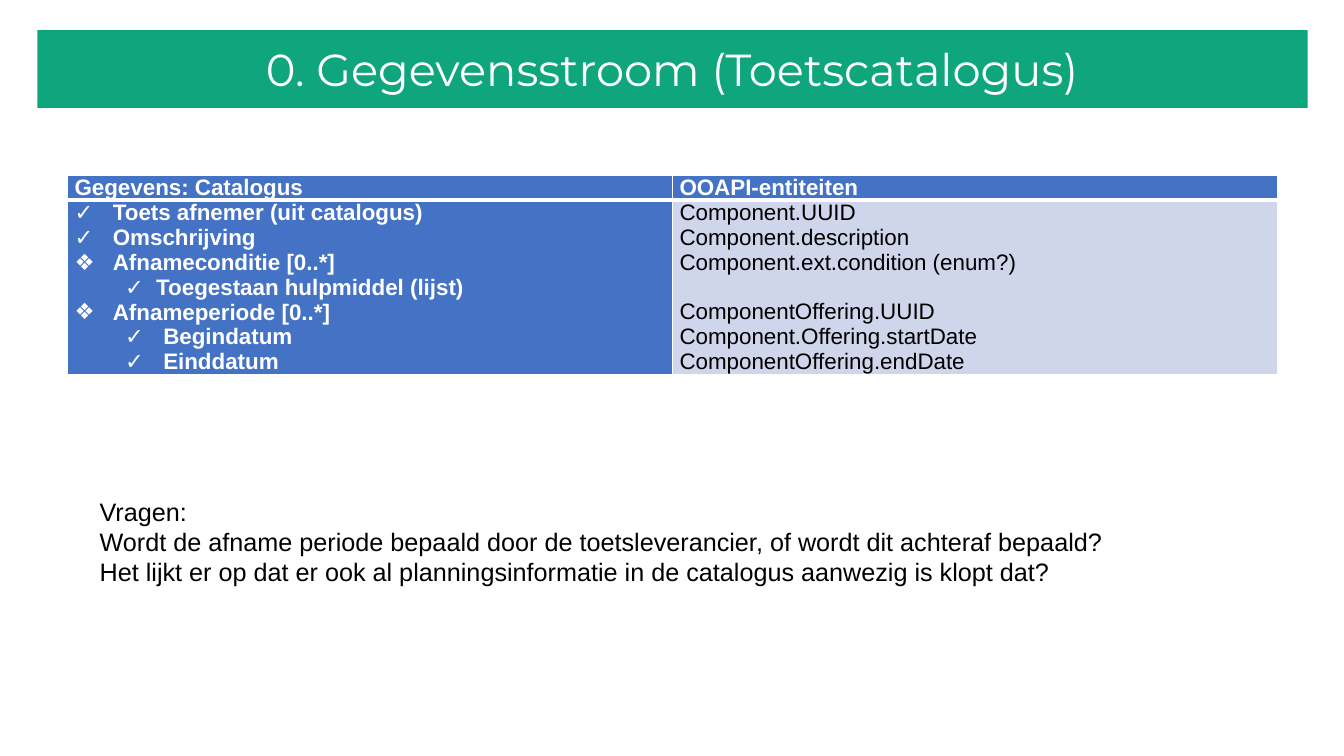
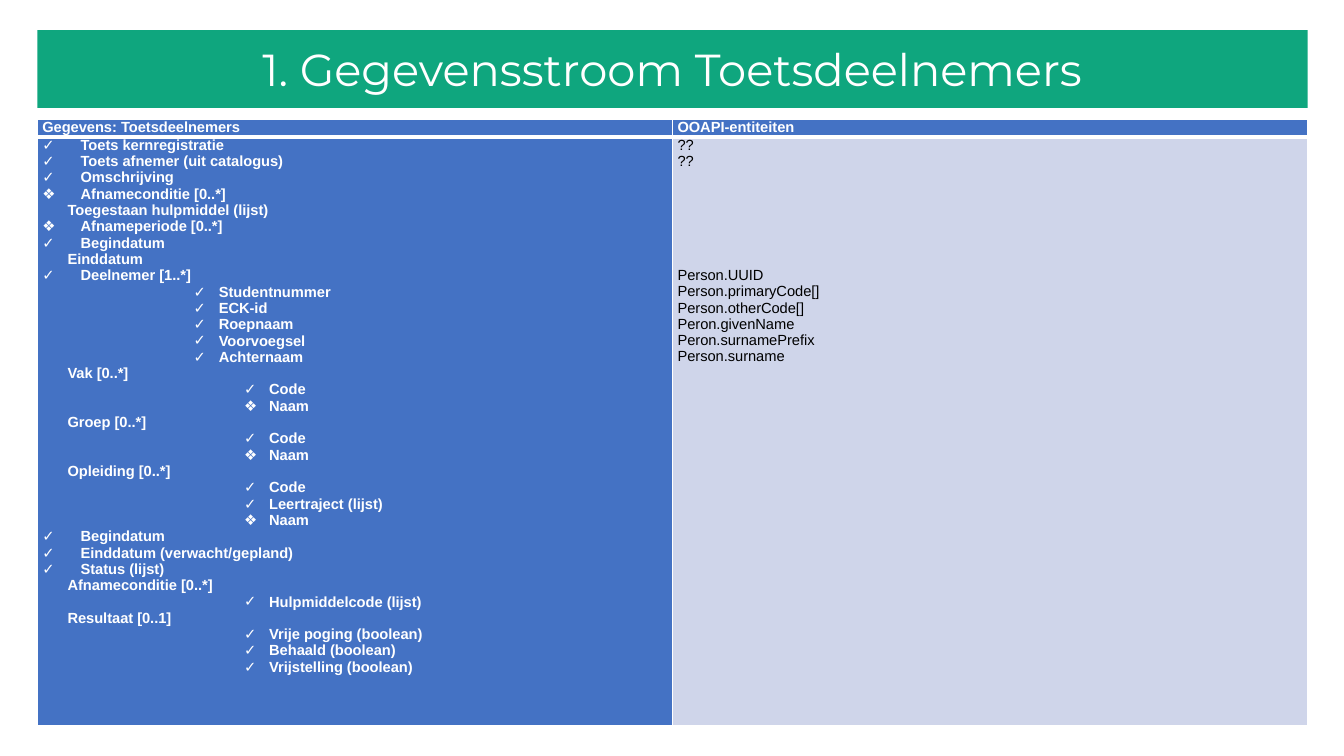
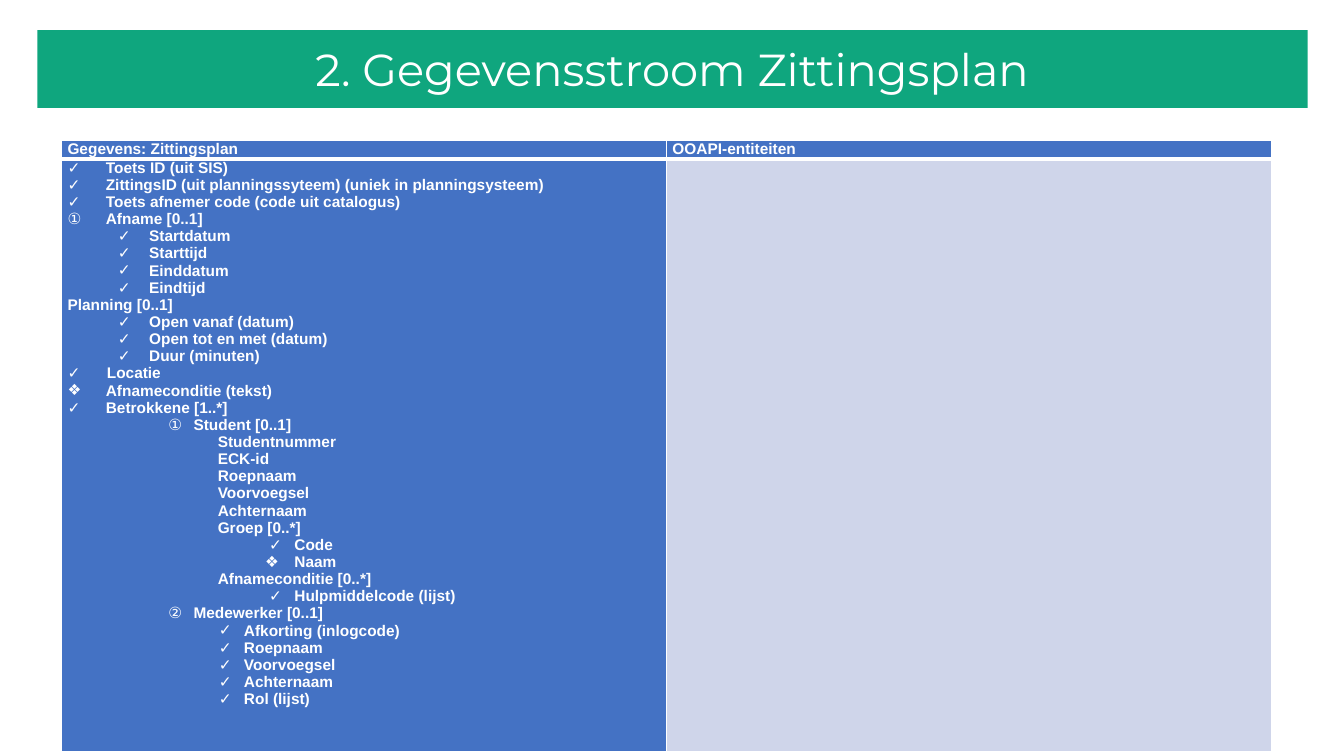
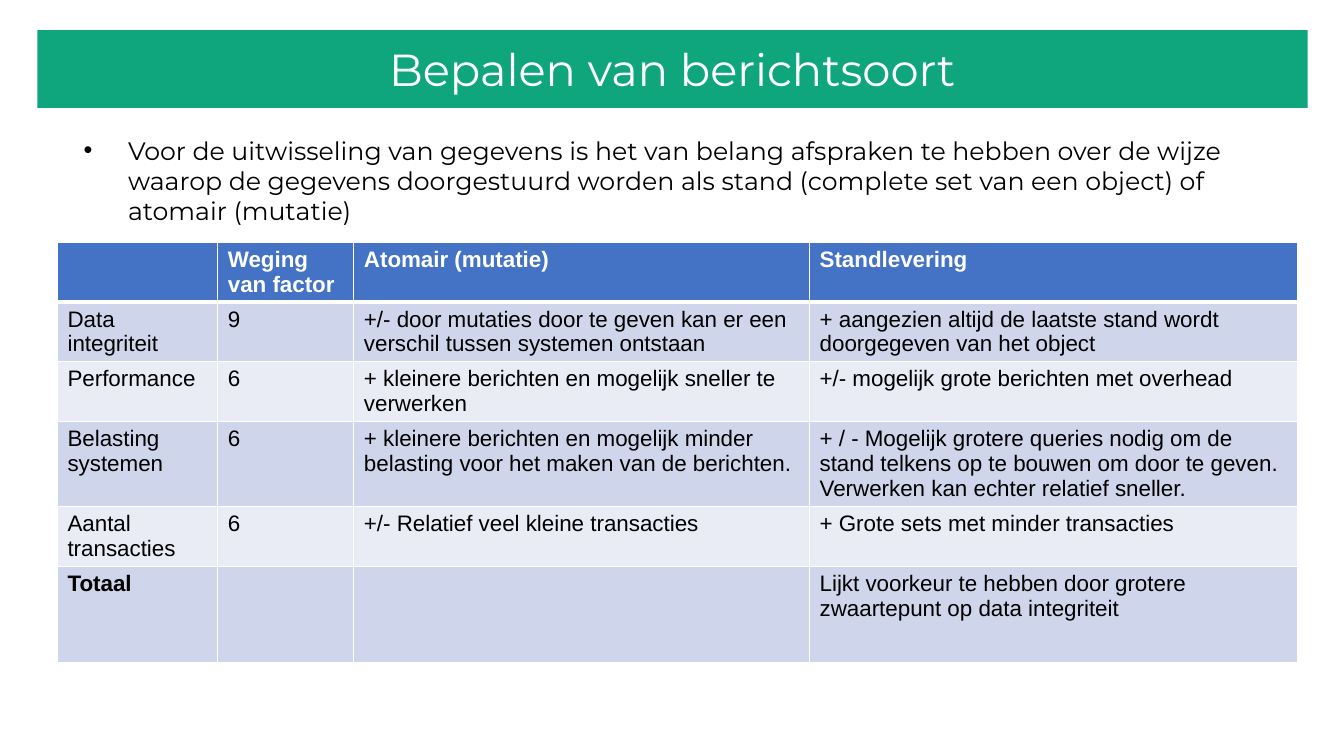
from dataclasses import dataclass

from lxml import etree
from pptx import Presentation
from pptx.dml.color import RGBColor
from pptx.enum.text import MSO_ANCHOR as ANCHOR, MSO_AUTO_SIZE as AUTO, PP_ALIGN as ALIGN
from pptx.oxml.ns import qn
from pptx.util import Inches, Pt


@dataclass(frozen=True)
class Theme:
    green: str = "0FA67E"
    blue: str = "4472C4"
    band: str = "CFD5EA"
    light: str = "E9EBF5"
    white: str = "FFFFFF"
    black: str = "000000"
    title_font: str = "Montserrat"
    font: str = "Arial"
    title_size: float = 32
    text_size: float = 18
    table_size: float = 16
    line_height: float = 1.105


T = Theme()


def add_text(tf, text, size=T.table_size, font=T.font, color=T.black, bold=False,
             align=None, before=0, style=None):
    """Fill the empty first paragraph or add one; style is (level, margin, hang, bullet)."""
    p = tf.paragraphs[0] if not tf.text else tf.add_paragraph()
    p.alignment = align
    p.space_before = Pt(before)
    r = p.add_run()
    r.text = text
    r.font.size, r.font.name, r.font.bold = Pt(size), font, bold
    r.font.color.rgb = RGBColor.from_string(color)
    if style:
        level, margin, hang, bullet = style
        p.level = level
        pPr = p._p.get_or_add_pPr()
        pPr.set("marL", str(Inches(margin)))
        pPr.set("indent", str(-Inches(hang)))
        if bullet:
            etree.SubElement(pPr, qn("a:buFont"), typeface=T.font)
            etree.SubElement(pPr, qn("a:buChar"), char=bullet)


def format_cell(cell, fill, inset, bottom=1):
    cell.fill.solid()
    cell.fill.fore_color.rgb = RGBColor.from_string(fill)
    cell.margin_left = cell.margin_right = Inches(inset[0])
    cell.margin_top = cell.margin_bottom = Inches(inset[1])
    tcPr = cell._tc.get_or_add_tcPr()
    for i, side in enumerate("LRTB"):
        ln = etree.Element(qn(f"a:ln{side}"), w=str(Pt(bottom if side == "B" else 1)))
        solid = etree.SubElement(ln, qn("a:solidFill"))
        etree.SubElement(solid, qn("a:srgbClr"), val=T.white)
        tcPr.insert(i, ln)


# Outline styles: level, margin, hang, bullet
CHECK = (0, 0.38, 0.38, "✓")
DIAMOND = (0, 0.38, 0.38, "❖")
CHOICE = (0, 0.38, 0.38, "①")
PLAIN = (0, 0.5, 0.25, None)
FLUSH = (0, 0.25, 0.25, None)
PLACE = (0, 0.39, 0.39, "✓")
SUB_CHECK = (1, 0.81, 0.31, "✓")
DATE_CHECK = (1, 0.88, 0.38, "✓")
ROLE_1 = (2, 1.25, 0.25, "①")
ROLE_2 = (2, 1.25, 0.25, "②")
ROLE_PLAIN = (2, 1.74, 0.25, None)
ROLE_DIAMOND = (2, 2.25, 0.29, "❖")
CHECK_3 = (3, 1.75, 0.25, "✓")
CHECK_4 = (4, 2.25, 0.25, "✓")
DIAMOND_4 = (4, 2.25, 0.25, "❖")

# Each outline entry is a style and its lines; each entity is a text and the empty lines above it
flows = [
    dict(
        title="0. Gegevensstroom (Toetscatalogus)", header="Gegevens: Catalogus",
        at=(0.67, 1.74), width=12, rows=(0.24, 1.72), size=T.table_size, inset=0.07,
        outline=[
            (CHECK, "Toets afnemer (uit catalogus)", "Omschrijving"),
            (DIAMOND, "Afnameconditie [0..*]"),
            (SUB_CHECK, "Toegestaan hulpmiddel (lijst)"),
            (DIAMOND, "Afnameperiode [0..*]"),
            (DATE_CHECK, "Begindatum", "Einddatum"),
        ],
        entities=[
            ("Component.UUID", 0), ("Component.description", 0),
            ("Component.ext.condition (enum?)", 0), ("ComponentOffering.UUID", 1),
            ("Component.Offering.startDate", 0), ("ComponentOffering.endDate", 0),
        ],
    ),
    dict(
        title="1. Gegevensstroom Toetsdeelnemers", header="Gegevens: Toetsdeelnemers",
        at=(0.37, 1.18), width=12.6, rows=(0.18, 5.84), size=10.5, inset=0.05,
        outline=[
            (CHECK, "Toets kernregistratie", "Toets afnemer (uit catalogus)", "Omschrijving"),
            (DIAMOND, "Afnameconditie [0..*]"),
            (PLAIN, "Toegestaan hulpmiddel (lijst)"),
            (DIAMOND, "Afnameperiode [0..*]"),
            (CHECK, "Begindatum"),
            (PLAIN, "Einddatum"),
            (CHECK, "Deelnemer [1..*]"),
            (CHECK_3, "Studentnummer", "ECK-id", "Roepnaam", "Voorvoegsel", "Achternaam"),
            (PLAIN, "Vak [0..*]"),
            (CHECK_4, "Code"),
            (DIAMOND_4, "Naam"),
            (PLAIN, "Groep [0..*]"),
            (CHECK_4, "Code"),
            (DIAMOND_4, "Naam"),
            (PLAIN, "Opleiding [0..*]"),
            (CHECK_4, "Code", "Leertraject (lijst)"),
            (DIAMOND_4, "Naam"),
            (CHECK, "Begindatum", "Einddatum (verwacht/gepland)", "Status (lijst)"),
            (PLAIN, "Afnameconditie [0..*]"),
            (CHECK_4, "Hulpmiddelcode (lijst)"),
            (PLAIN, "Resultaat [0..1]"),
            (CHECK_4, "Vrije poging (boolean)", "Behaald (boolean)", "Vrijstelling (boolean)"),
        ],
        entities=[
            ("??", 0), ("??", 0), ("Person.UUID", 6), ("Person.primaryCode[]", 0),
            ("Person.otherCode[]", 0), ("Peron.givenName", 0),
            ("Peron.surnamePrefix", 0), ("Person.surname", 0),
        ],
    ),
    dict(
        title="2. Gegevensstroom Zittingsplan", header="Gegevens: Zittingsplan",
        at=(0.61, 1.39), width=12, rows=(0.19, 5.88), size=11, inset=0.06,
        outline=[
            (CHECK, "Toets ID (uit SIS)",
             "ZittingsID (uit planningssyteem) (uniek in planningsysteem)",
             "Toets afnemer code (code uit catalogus)"),
            (CHOICE, "Afname [0..1]"),
            (SUB_CHECK, "Startdatum", "Starttijd", "Einddatum", "Eindtijd"),
            (FLUSH, "Planning [0..1]"),
            (SUB_CHECK, "Open vanaf (datum)", "Open tot en met (datum)", "Duur (minuten)"),
            (PLACE, "Locatie"),
            (DIAMOND, "Afnameconditie (tekst)"),
            (CHECK, "Betrokkene [1..*]"),
            (ROLE_1, "Student [0..1]"),
            (ROLE_PLAIN, "Studentnummer", "ECK-id", "Roepnaam", "Voorvoegsel",
             "Achternaam", "Groep [0..*]"),
            (CHECK_4, "Code"),
            (ROLE_DIAMOND, "Naam"),
            (ROLE_PLAIN, "Afnameconditie [0..*]"),
            (CHECK_4, "Hulpmiddelcode (lijst)"),
            (ROLE_2, "Medewerker [0..1]"),
            (CHECK_3, "Afkorting (inlogcode)", "Roepnaam", "Voorvoegsel", "Achternaam",
             "Rol (lijst)"),
        ],
        entities=[],
    ),
]

questions = [
    "Vragen:",
    "Wordt de afname periode bepaald door de toetsleverancier, of wordt dit achteraf bepaald?",
    "Het lijkt er op dat er ook al planningsinformatie in de catalogus aanwezig is klopt dat?",
]

message_title = "Bepalen van berichtsoort"
message_intro = (
    "Voor de uitwisseling van gegevens is het van belang afspraken te hebben over de wijze "
    "waarop de gegevens doorgestuurd worden als stand (complete set van een object) of "
    "atomair (mutatie)")
comparison = [
    ("", "Weging van factor", "Atomair (mutatie)", "Standlevering"),
    ("Data integriteit", "9",
     "+/- door mutaties door te geven kan er een verschil tussen systemen ontstaan",
     "+ aangezien altijd de laatste stand wordt doorgegeven van het object"),
    ("Performance", "6", "+ kleinere berichten en mogelijk sneller te verwerken",
     "+/- mogelijk grote berichten met overhead"),
    ("Belasting systemen", "6",
     "+ kleinere berichten en mogelijk minder belasting voor het maken van de berichten.",
     "+ / - Mogelijk grotere queries nodig om de stand telkens op te bouwen om door te geven. "
     "Verwerken kan echter relatief sneller."),
    ("Aantal transacties", "6", "+/- Relatief veel kleine transacties",
     "+ Grote sets met minder transacties"),
    ("Totaal", "", "",
     "Lijkt voorkeur te hebben door grotere zwaartepunt op data integriteit"),
]
comparison_widths = (1.59, 1.35, 4.52, 4.84)
comparison_heights = (0.53, 0.53, 0.53, 0.8, 0.54, 0.96)

prs = Presentation()
prs.slide_width, prs.slide_height = Inches(13.33), Inches(7.5)
CONTENT, TITLE_ONLY = prs.slide_layouts[1], prs.slide_layouts[5]

# Slides with their title bands
for title in [flow["title"] for flow in flows] + [message_title]:
    slide = prs.slides.add_slide(CONTENT if title == message_title else TITLE_ONLY)
    sp = slide.shapes.title
    sp.left, sp.top, sp.width, sp.height = map(Inches, (0.37, 0.3, 12.6, 0.77))
    sp.fill.solid()
    sp.fill.fore_color.rgb = RGBColor.from_string(T.green)
    tf = sp.text_frame
    tf.auto_size, tf.vertical_anchor = AUTO.NONE, ANCHOR.MIDDLE
    tf.margin_left = tf.margin_right = tf.margin_top = tf.margin_bottom = Inches(0.1)
    add_text(tf, title, size=T.title_size, font=T.title_font, color=T.white, align=ALIGN.CENTER)

# Data flow tables
for slide, flow in zip(prs.slides, flows):
    left, top = flow["at"]
    size, inset = flow["size"], (flow["inset"], 0)
    table = slide.shapes.add_table(2, 2, Inches(left), Inches(top), Inches(flow["width"]),
                                   Inches(sum(flow["rows"]))).table
    table.first_row = table.horz_banding = False
    for row, height in zip(table.rows, flow["rows"]):
        row.height = Inches(height)
    for c, header in enumerate((flow["header"], "OOAPI-entiteiten")):
        cell = table.cell(0, c)
        format_cell(cell, T.blue, inset, bottom=3)
        add_text(cell.text_frame, header, size=size, color=T.white, bold=True)
    outline_cell, entity_cell = table.cell(1, 0), table.cell(1, 1)
    format_cell(outline_cell, T.blue, inset)
    format_cell(entity_cell, T.band, inset)
    for style, *lines in flow["outline"]:
        for line in lines:
            add_text(outline_cell.text_frame, line, size=size, color=T.white, bold=True,
                     style=style)
    for entity, gap in flow["entities"]:
        add_text(entity_cell.text_frame, entity, size=size, before=gap * size * T.line_height)

# Questions below the catalogue
tf = prs.slides[0].shapes.add_textbox(*map(Inches, (0.89, 4.87, 12, 1.01))).text_frame
tf.word_wrap = True
for question in questions:
    add_text(tf, question, size=T.text_size)

# Message type comparison
slide = prs.slides[3]
body = slide.placeholders[1]
body.left, body.top, body.width, body.height = map(Inches, (0.67, 1.24, 12.3, 2.21))
tf = body.text_frame
tf.auto_size = AUTO.NONE
tf.margin_left = tf.margin_right = tf.margin_top = tf.margin_bottom = Inches(0.1)
add_text(tf, message_intro, size=T.text_size, font=T.title_font, before=5.6,
         style=(0, 0.5, 0.44, "•"))

table = slide.shapes.add_table(len(comparison), len(comparison_widths), Inches(0.57), Inches(2.4),
                               Inches(sum(comparison_widths)),
                               Inches(sum(comparison_heights))).table
table.first_row = table.horz_banding = False
for column, width in zip(table.columns, comparison_widths):
    column.width = Inches(width)
for r, (texts, height) in enumerate(zip(comparison, comparison_heights)):
    table.rows[r].height = Inches(height)
    is_header = r == 0
    fill = T.blue if is_header else T.band if r % 2 else T.light
    for c, text in enumerate(texts):
        cell = table.cell(r, c)
        format_cell(cell, fill, (0.1, 0.05), bottom=3 if is_header else 1)
        if text:
            add_text(cell.text_frame, text, color=T.white if is_header else T.black,
                     bold=is_header or text == "Totaal")

prs.save("out.pptx")
